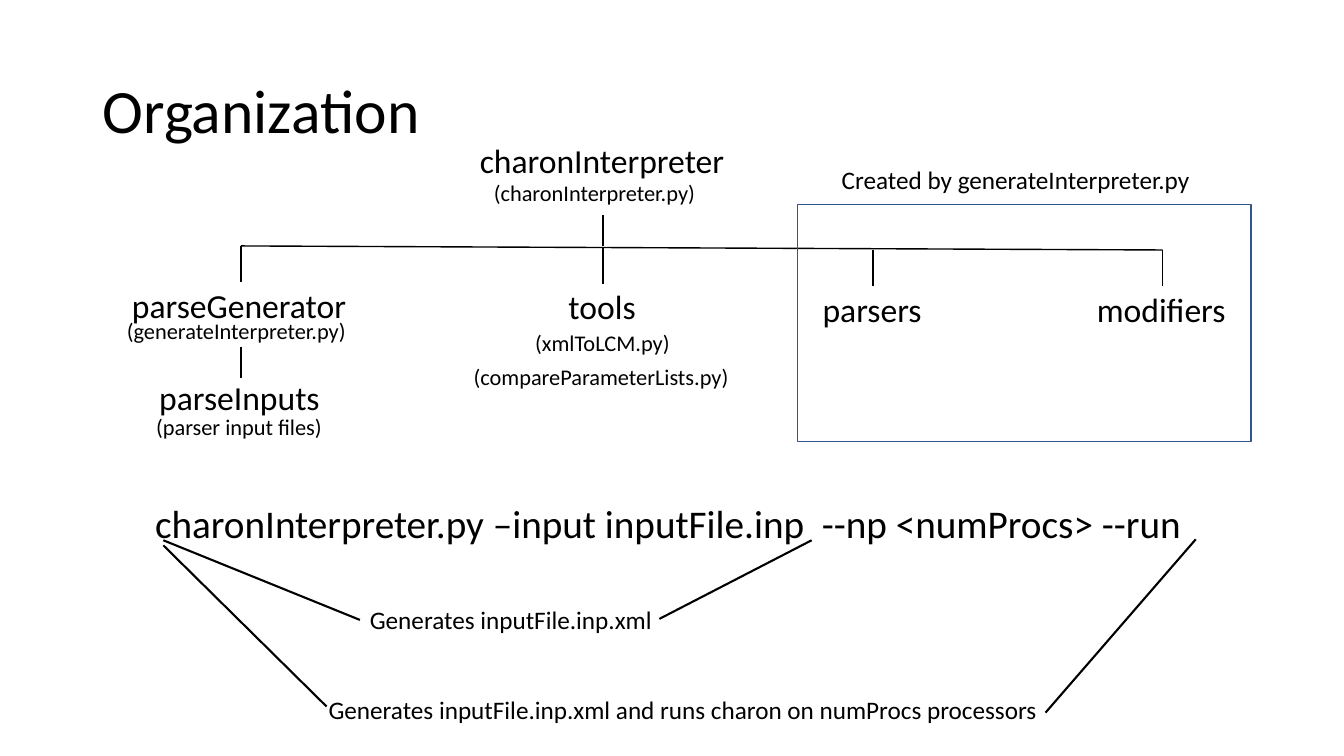
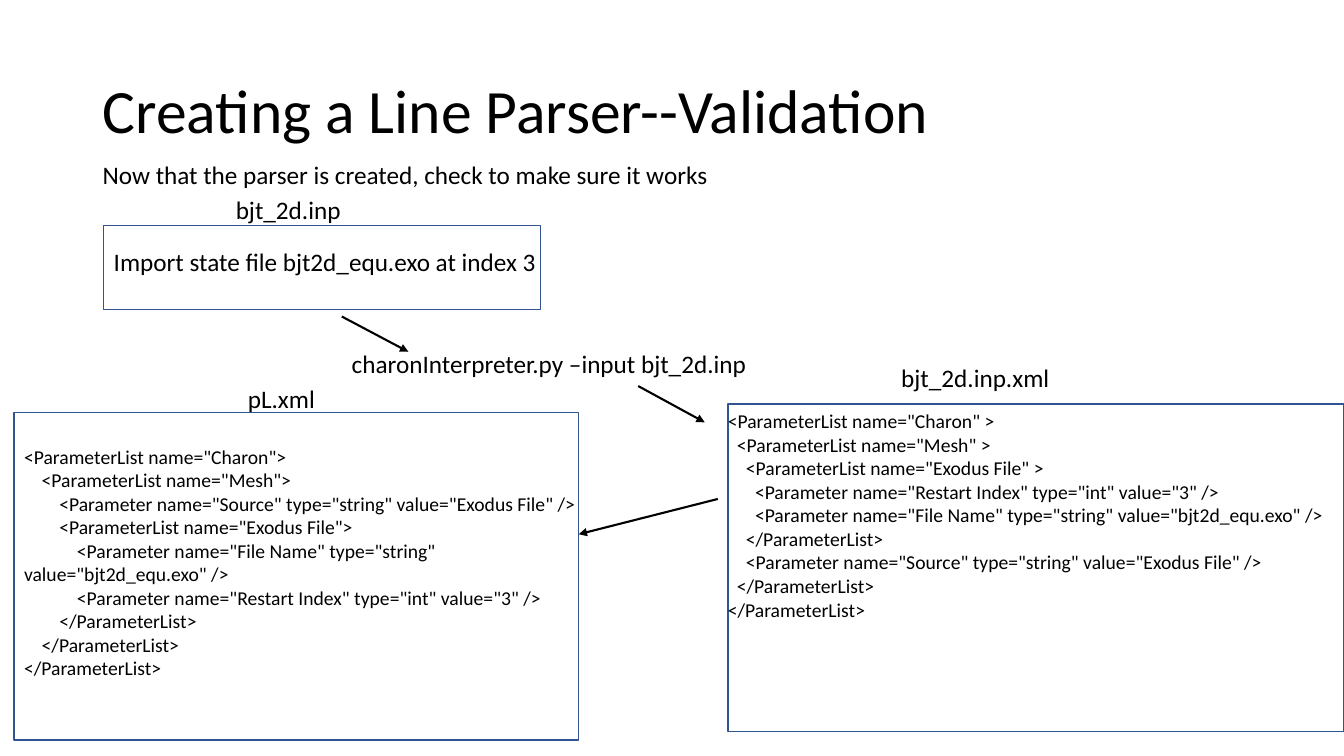
from lxml.etree import SubElement
from pptx import Presentation
from pptx.dml.color import RGBColor
from pptx.enum.shapes import MSO_CONNECTOR as Connector, MSO_SHAPE as Shape
from pptx.enum.text import MSO_ANCHOR as Anchor, MSO_AUTO_SIZE as AutoSize
from pptx.oxml.ns import qn
from pptx.util import Inches, Pt

BLACK = RGBColor(0x00, 0x00, 0x00)
WHITE = RGBColor(0xFF, 0xFF, 0xFF)
BLUE = RGBColor(0x32, 0x54, 0x91)
FONT = "Calibri"
NODE, FILE, NOTE, COMMAND, CODE, TITLE = 24, 16, 18, 28, 14, 44


class SlideWriter:
    """Holds the deck, its style and the slide being written."""

    def __init__(self):
        self.deck = Presentation()
        self.deck.slide_width = Inches(13.33)
        self.deck.slide_height = Inches(7.5)
        self.page = None

    def start(self, title):
        self.page = self.deck.slides.add_slide(self.deck.slide_layouts[6])
        frame = self.text([title], 0.92, 0.4, 11.5, 1.45, TITLE)
        frame.vertical_anchor = Anchor.MIDDLE
        frame.paragraphs[0].line_spacing = 0.9

    def text(self, lines, left, top, width, height, size):
        box = self.page.shapes.add_textbox(
            Inches(left), Inches(top), Inches(width), Inches(height))
        frame = box.text_frame
        frame.word_wrap = True
        frame.text = "\n".join(lines)
        for para in frame.paragraphs:
            for span in para.runs:
                span.font.name = FONT
                span.font.size = Pt(size)
                span.font.color.rgb = BLACK
        return frame

    def label(self, text, left, top, width, size):
        height = round(size / 60 + 0.1, 2)
        frame = self.text([text], left, top, width, height, size)
        frame.word_wrap = False
        frame.auto_size = AutoSize.SHAPE_TO_FIT_TEXT

    def code(self, lines, left, top, width, height, step):
        frame = self.text([line for _, line in lines], left, top, width, height, CODE)
        for para, (level, _) in zip(frame.paragraphs, lines):
            properties = para._p.get_or_add_pPr()
            properties.set("marL", "0")
            properties.set("indent", str(Inches(level * step)))

    def frame(self, left, top, width, height, fill=WHITE):
        box = self.page.shapes.add_shape(
            Shape.RECTANGLE, Inches(left), Inches(top), Inches(width), Inches(height))
        box.shadow.inherit = False
        if fill is None:
            box.fill.background()
        else:
            box.fill.solid()
            box.fill.fore_color.rgb = fill
        box.line.color.rgb = BLUE
        box.line.width = Pt(1)

    def line(self, x1, y1, x2, y2, weight=1.5, arrow=False):
        line = self.page.shapes.add_connector(
            Connector.STRAIGHT, Inches(x1), Inches(y1), Inches(x2), Inches(y2))
        line.line.color.rgb = BLACK
        line.line.width = Pt(weight)
        if arrow:
            SubElement(line.line._get_or_add_ln(), qn("a:tailEnd"), type="triangle")
        SubElement(line._element.spPr, qn("a:effectLst"))


def organization(writer):
    writer.start("Organization")
    for text, left, top, width in (
            ("charonInterpreter", 4.66, 1.34, 2.65),
            ("parseGenerator", 1.21, 2.78, 2.35),
            ("tools", 5.54, 2.79, 0.87),
            ("parsers", 8.06, 2.82, 1.19),
            ("modifiers", 10.78, 2.82, 1.49),
            ("parseInputs", 1.48, 3.69, 1.81)):
        writer.label(text, left, top, width, NODE)
    for text, left, top, width in (
            ("(charonInterpreter.py)", 4.8, 1.73, 2.23),
            ("(generateInterpreter.py)", 1.16, 3.1, 2.4),
            ("(xmlToLCM.py)", 5.21, 3.22, 1.55),
            ("(compareParameterLists.py)", 4.6, 3.55, 2.76),
            ("(parser input files)", 1.45, 4.05, 1.87)):
        writer.label(text, left, top, width, FILE)

    parse_x, tools_x, modifiers_x = 2.39, 5.98, 11.53
    writer.line(parse_x, 2.44, modifiers_x, 2.48, 1)
    for x, top in ((tools_x, 2.13), (parse_x, 3.44)):
        writer.line(x, top, x, top + 0.31, 1)
    for x, top in ((parse_x, 2.44), (tools_x, 2.46), (8.66, 2.48), (modifiers_x, 2.48)):
        writer.line(x, top, x, top + 0.36, 1)

    writer.frame(7.91, 2.03, 4.5, 2.35, fill=None)
    writer.label("Created by generateInterpreter.py", 8.25, 1.58, 3.69, NOTE)
    writer.label("charonInterpreter.py –input inputFile.inp  --np <numProcs> --run",
                 1.44, 4.9, 10.5, COMMAND)
    writer.label("Generates inputFile.inp.xml", 3.57, 5.95, 3.03, NOTE)
    writer.label("Generates inputFile.inp.xml and runs charon on numProcs processors",
                 3.16, 6.84, 7.31, NOTE)
    for ends in ((1.62, 5.36, 3.57, 6.15), (6.54, 6.14, 8.05, 5.36),
                 (1.62, 5.41, 3.24, 7.01), (11.86, 5.35, 10.37, 7.07)):
        writer.line(*ends)


def validation(writer):
    writer.start("Creating a Line Parser--Validation")
    for box in ((1.03, 2.24, 4.33, 0.83), (7.22, 4.01, 6.11, 3.25),
                (0.14, 4.09, 5.6, 3.25)):
        writer.frame(*box)
    for text, left, top, width in (
            ("Now that the parser is created, check to make sure it works", 0.92, 1.53, 6.27),
            ("bjt_2d.inp", 2.24, 1.88, 1.25),
            ("Import state file bjt2d_equ.exo at index 3", 1.03, 2.39, 4.44),
            ("charonInterpreter.py –input bjt_2d.inp", 3.39, 3.41, 4.16),
            ("bjt_2d.inp.xml", 8.84, 3.55, 1.68),
            ("pL.xml", 2.36, 3.75, 0.94)):
        writer.label(text, left, top, width, NOTE)

    mesh = '<ParameterList name="Mesh"'
    exodus = '<ParameterList name="Exodus File"'
    source = '<Parameter name="Source" type="string" value="Exodus File" />'
    file_name = '<Parameter name="File Name" type="string" value="bjt2d_equ.exo" />'
    index = '<Parameter name="Restart Index" type="int" value="3" />'
    close = "</ParameterList>"
    writer.code(((0, '<ParameterList name="Charon" >'), (1, mesh + " >"),
                 (2, exodus + " >"), (3, index), (3, file_name), (2, close),
                 (2, source), (1, close), (0, close)),
                7.12, 4.01, 6.67, 2.22, 0.09)
    writer.code(((0, '<ParameterList name="Charon">'), (1, mesh + ">"),
                 (2, source), (2, exodus + ">"), (3, file_name), (3, index),
                 (2, close), (1, close), (0, close)),
                0.14, 4.36, 5.74, 2.69, 0.175)
    for ends in ((3.39, 3.14, 4.05, 3.49), (6.33, 3.83, 6.99, 4.19),
                 (7.12, 4.95, 5.74, 5.3)):
        writer.line(*ends, arrow=True)


def main():
    writer = SlideWriter()
    organization(writer)
    validation(writer)
    writer.deck.save("out.pptx")


if __name__ == "__main__":
    main()
